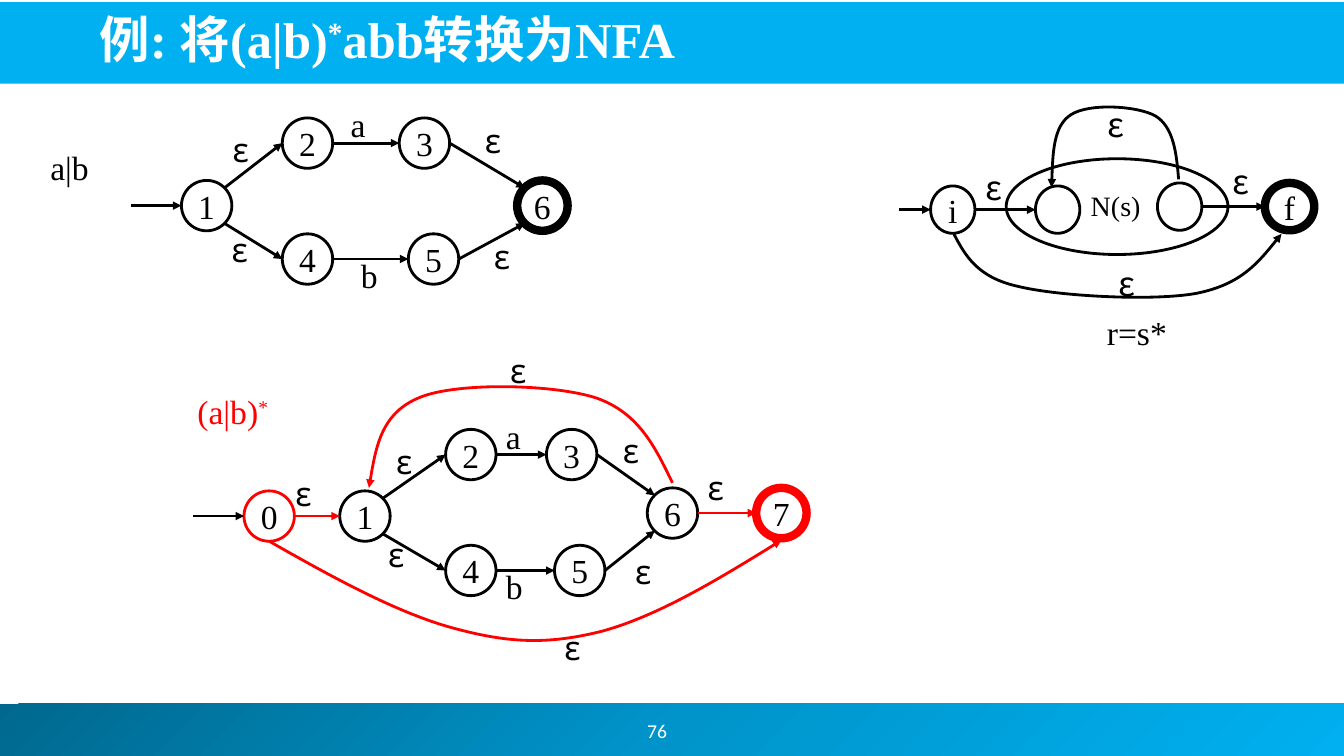
import copy
import pptx
import pptx.dml.color
import pptx.enum.shapes
import pptx.enum.text
import pptx.oxml
import pptx.oxml.ns
import pptx.util

HUES = {"black": "000000", "red": "FF0000", "white": "FFFFFF",
        "sky": "00B0F0", "mid": "0094CA", "deep": "00688E"}
SERIF, COMIC, SANS = "Times New Roman", "Comic Neue", "Noto Sans CJK JP"
KIND = pptx.enum.shapes.MSO_SHAPE
ALIGN = pptx.enum.text.PP_ALIGN
ANCHOR = pptx.enum.text.MSO_ANCHOR
FIT = pptx.enum.text.MSO_AUTO_SIZE
qn = pptx.oxml.ns.qn

deck = pptx.Presentation()
deck.slide_width = pptx.util.Inches(13.33)
deck.slide_height = pptx.util.Inches(7.5)
cell = deck.slide_height / 7.5  # grid of 7.5 rows by 13.33 columns
slide = deck.slides.add_slide(deck.slide_layouts[5])
shapes = slide.shapes


def trim(shape, hue, width=2, arrow=False):
    """Set the outline, and end it with an arrowhead if asked."""
    shape.line.color.rgb = pptx.dml.color.RGBColor.from_string(HUES[hue])
    shape.line.width = pptx.util.Pt(width)
    if arrow:
        tail = pptx.oxml.parse_xml(f'<a:tailEnd {pptx.oxml.ns.nsdecls("a")} type="triangle"/>')
        shape.get_or_add_ln().append(tail)


def write(shape, text, size=24, font=SERIF, hue="black"):
    """Write one line of text; a part after ^ is raised, up to the next ^."""
    para = shape.text_frame.paragraphs[0]
    para.font.size = pptx.util.Pt(size)
    para.font.name = font
    para.font.color.rgb = pptx.dml.color.RGBColor.from_string(HUES[hue])
    for turn, part in enumerate(text.split("^")):
        run = para.add_run()
        run.text = part
        if turn == 1:
            run._r.get_or_add_rPr().set("baseline", "30000")
    return para


# Bands at foot and head
bands = []
for left, top, wide, high in [(-0.05, 6.98, 13.39, 0.52), (-0.02, 0.02, 13.36, 0.81)]:
    band = shapes.add_shape(KIND.RECTANGLE, *[int(n * cell) for n in (left, top, wide, high)])
    band.shadow.inherit = False
    band.line.fill.background()
    bands.append(band)
foot, head = bands
head.fill.solid()
head.fill.fore_color.rgb = pptx.dml.color.RGBColor.from_string(HUES["sky"])
foot.fill.gradient()
foot.fill.gradient_angle = 315
first = foot.fill.gradient_stops[0]._gs
first.addnext(copy.deepcopy(first))
for stop, hue, place in zip(foot.fill.gradient_stops, ("deep", "mid", "sky"), (0, 0.5, 1)):
    stop.color.rgb = pptx.dml.color.RGBColor.from_string(HUES[hue])
    stop.position = place

# Title
title = shapes.title
shapes._spTree.append(title._element)
title.left, title.top, title.width, title.height = [
    int(n * cell) for n in (0.89, 0.05, 11.33, 0.68)]
title.text_frame.auto_size = FIT.NONE
title.text_frame.vertical_anchor = ANCHOR.BOTTOM
para = write(title, "例: 将(a|b)^*^abb转换为NFA", 36, SERIF, "white")
para.alignment = ALIGN.LEFT
para.font.bold = True
for run in para.runs:
    east = pptx.oxml.parse_xml(f'<a:ea {pptx.oxml.ns.nsdecls("a")} typeface="{SANS}"/>')
    run._r.get_or_add_rPr().append(east)

# Page number
page = shapes.add_textbox(*[int(n * cell) for n in (6.32, 7, 2.89, 0.5)])
page.text_frame.word_wrap = True
page.text_frame.vertical_anchor = ANCHOR.MIDDLE
write(page, "76", 14, "Calibri", "white")

# States: key, label, centre x, centre y, width, height, line hue, line width
D = 0.5
states = [
    ("u1", "1", 2.05, 2.04, D, D, "black", 2), ("u2", "2", 3.05, 1.42, D, D, "black", 2),
    ("u3", "3", 4.21, 1.42, D, D, "black", 2), ("u4", "4", 3.05, 2.57, D, D, "black", 2),
    ("u5", "5", 4.3, 2.57, D, D, "black", 2), ("u6", "6", 5.38, 2.04, D, D, "black", 6),
    ("s0", "0", 2.67, 5.12, D, D, "red", 2), ("s1", "1", 3.62, 5.12, D, D, "black", 2),
    ("s2", "2", 4.67, 4.51, D, D, "black", 2), ("s3", "3", 5.67, 4.51, D, D, "black", 2),
    ("s4", "4", 4.67, 5.66, D, D, "black", 2), ("s5", "5", 5.75, 5.66, D, D, "black", 2),
    ("s6", "6", 6.67, 5.09, D, D, "black", 2), ("s7", "7", 7.75, 5.09, D, D, "red", 6),
    ("hull", "", 11.08, 2.05, 2.2, 0.95, "black", 2),
    ("i", "i", 9.45, 2.08, 0.44, 0.47, "black", 2), ("in", "", 10.49, 2.08, 0.44, 0.47, "black", 2),
    ("out", "", 11.7, 2.05, 0.44, 0.47, "black", 2), ("f", "f", 12.79, 2.05, 0.49, 0.47, "black", 6),
]
spots = {}
for key, label, x, y, wide, high, hue, width in states:
    ring = shapes.add_shape(KIND.OVAL, *[
        int(n * cell) for n in (x - wide / 2, y - high / 2, wide, high)])
    ring.shadow.inherit = False
    ring.fill.background()
    trim(ring, hue, width)
    spots[key] = x, y, wide, high
    if label:
        ring.text_frame.word_wrap = False
        ring.text_frame.vertical_anchor = ANCHOR.MIDDLE
        write(ring, label).alignment = ALIGN.CENTER

# Straight moves: from state and side to state and side, as shares of the size
sides = {"e": (0.5, 0), "w": (-0.5, 0), "ne": (0.35, -0.35), "se": (0.35, 0.35),
         "nw": (-0.35, -0.35), "sw": (-0.35, 0.35)}
fork = [("1", "ne", "2", "w"), ("1", "se", "4", "w"), ("2", "e", "3", "w"),
        ("4", "e", "5", "w"), ("3", "e", "6", "nw"), ("5", "e", "6", "sw")]
moves = [(net + a, p, net + b, q, "black") for net in "us" for a, p, b, q in fork]
moves += [("s0", "e", "s1", "w", "red"), ("s6", "e", "s7", "w", "red"),
          ("i", "e", "in", "w", "black"), ("out", "e", "f", "w", "black")]
lines = []
for a, p, b, q, hue in moves:
    ends = []
    for key, side in ((a, p), (b, q)):
        x, y, wide, high = spots[key]
        ends += [x + sides[side][0] * wide, y + sides[side][1] * high]
    lines.append((ends, hue))
for key, span in (("u1", 0.5), ("s0", 0.51), ("i", 0.31)):
    x, y, wide, high = spots[key]
    lines.append(([x - wide / 2 - span, y, x - wide / 2, y], "black"))
for ends, hue in lines:
    line = shapes.add_connector(pptx.enum.shapes.MSO_CONNECTOR.STRAIGHT,
                                *[int(n * cell) for n in ends])
    trim(line, hue, arrow=True)
    line._element.spPr.append(pptx.oxml.parse_xml(
        f'<a:effectLst {pptx.oxml.ns.nsdecls("a")}/>'))

# Curved moves: a start, then three points for each Bézier piece
curves = [
    ("red", [(6.67, 4.79), (6.5, 4.44), (6.34, 4.1), (5.92, 3.95), (5.5, 3.81),
             (4.54, 3.79), (4.17, 3.94), (3.79, 4.09), (3.72, 4.46), (3.66, 4.84)]),
    ("red", [(2.67, 5.37), (3.3, 5.73), (3.94, 6.08), (4.49, 6.23), (5.04, 6.38),
             (5.43, 6.4), (5.98, 6.26), (6.52, 6.11), (7.14, 5.74), (7.75, 5.36)]),
    ("black", [(11.69, 1.78), (11.67, 1.52), (11.64, 1.26), (11.46, 1.15), (11.28, 1.05),
               (10.8, 1.02), (10.62, 1.14), (10.45, 1.25), (10.44, 1.56), (10.43, 1.86)]),
    ("black", [(9.46, 2.32), (9.57, 2.53), (9.69, 2.75), (10.09, 2.84), (10.49, 2.94),
               (11.44, 2.99), (11.87, 2.91), (12.31, 2.82), (12.51, 2.57), (12.71, 2.32)]),
]
for hue, points in curves:
    points = [(int(x * cell), int(y * cell)) for x, y in points]
    pen = shapes.build_freeform(*points[0])
    pen.add_line_segments(points[1:], close=False)
    curve = pen.convert_to_shape()
    curve.shadow.inherit = False
    curve.fill.background()
    trim(curve, hue, arrow=True)
    steps = list(curve._element.iter(qn("a:lnTo")))
    for k in range(0, len(steps), 3):
        steps[k].tag = qn("a:cubicBezTo")
        for step in steps[k + 1:k + 3]:
            steps[k].append(step[0])
            step.getparent().remove(step)

# Labels: text, left, top, width, size, font, hue
notes = [("a|b", 0.4, 1.41, 0.59, 24, SERIF, "black"),
         ("(a|b)^*", 1.86, 3.83, 0.92, 24, SERIF, "red"),
         ("r=s*", 10.88, 3.05, 0.8, 24, SERIF, "black"),
         ("N(s)", 10.72, 1.82, 0.7, 20, SERIF, "black")]
marks = [
    ("ε", COMIC, [(2.21, 1.23), (4.71, 1.14), (4.8, 2.29), (2.2, 2.22), (3.83, 4.33),
                  (6.08, 4.22), (6.2, 5.42), (3.75, 5.25), (2.83, 4.64), (6.92, 4.58),
                  (4.96, 3.42), (5.5, 6.17)]),
    ("ε", SANS, [(10.89, 0.98), (9.68, 1.61), (12.13, 1.55), (10.99, 2.56)]),
    ("a", SERIF, [(3.38, 0.98), (4.92, 4.08)]),
    ("b", SERIF, [(3.48, 2.48), (4.92, 5.57)]),
]
notes += [(text, x, y, 0.35, 24, font, "black") for text, font, places in marks for x, y in places]
for text, x, y, wide, size, font, hue in notes:
    note = shapes.add_textbox(*[int(n * cell) for n in (x, y, wide, size / 48)])
    note.text_frame.word_wrap = False
    note.text_frame.auto_size = FIT.SHAPE_TO_FIT_TEXT
    write(note, text, size, font, hue)

deck.save("out.pptx")
